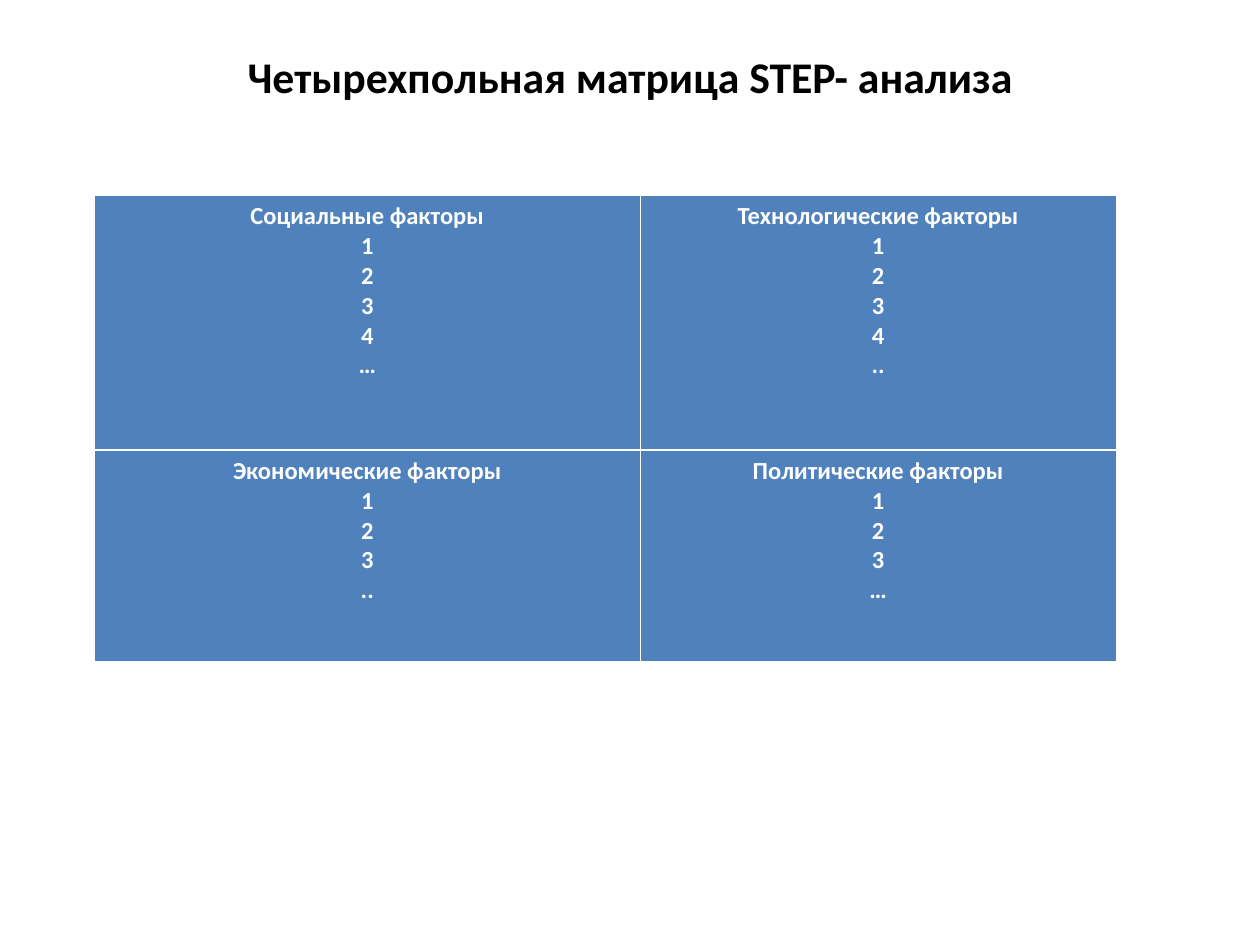
"""Build a slide with the four-field STEP analysis matrix."""
from dataclasses import dataclass

from lxml.etree import SubElement
from pptx import Presentation
from pptx.dml.color import RGBColor
from pptx.enum.text import MSO_ANCHOR, PP_ALIGN
from pptx.oxml.ns import qn
from pptx.util import Inches, Pt

TITLE = "Четырехпольная матрица STEP- анализа"
MATRIX = [
    [("Социальные факторы", "1", "2", "3", "4", "…"),
     ("Технологические факторы", "1", "2", "3", "4", "..")],
    [("Экономические факторы", "1", "2", "3", ".."),
     ("Политические факторы", "1", "2", "3", "…")],
]
SLIDE_SIZE = (10, 7.5)
TITLE_BOX = (0.5, 0.3, 9, 0.61)
MATRIX_ORIGIN = (0.75, 1.55)
COLUMN_WIDTHS = (4.33, 3.78)
ROW_HEIGHTS = (2.02, 1.68)


@dataclass(frozen=True)
class Theme:
    font: str = "Calibri"
    title_color: str = "000000"
    factor_color: str = "FFFFFF"
    field_fill: str = "4F81BD"
    border_color: str = "FFFFFF"
    title_size: float = 25
    factor_size: float = 14
    thin_border: float = 0.45
    row_border: float = 1.47


THEME = Theme()


def write_lines(frame, lines, size, color):
    for index, line in enumerate(lines):
        paragraph = frame.add_paragraph() if index else frame.paragraphs[0]
        paragraph.alignment = PP_ALIGN.CENTER
        run = paragraph.add_run()
        run.text = line
        run.font.name = THEME.font
        run.font.size = Pt(size)
        run.font.bold = True
        run.font.color.rgb = RGBColor.from_string(color)


def add_borders(cell, widths):
    properties = cell._tc.get_or_add_tcPr()
    for side, width in widths.items():
        border = SubElement(properties, qn(f"a:ln{side}"), w=str(Pt(width)))
        fill = SubElement(border, qn("a:solidFill"))
        SubElement(fill, qn("a:srgbClr"), val=THEME.border_color)


def add_title(slide):
    title = slide.shapes.title
    title.left, title.top, title.width, title.height = map(Inches, TITLE_BOX)
    title.text_frame.vertical_anchor = MSO_ANCHOR.MIDDLE
    write_lines(title.text_frame, [TITLE], THEME.title_size, THEME.title_color)


def add_matrix(slide):
    size = (sum(COLUMN_WIDTHS), sum(ROW_HEIGHTS))
    matrix = slide.shapes.add_table(
        len(ROW_HEIGHTS), len(COLUMN_WIDTHS), *map(Inches, MATRIX_ORIGIN + size)
    ).table
    for column, width in zip(matrix.columns, COLUMN_WIDTHS):
        column.width = Inches(width)
    for row, height in zip(matrix.rows, ROW_HEIGHTS):
        row.height = Inches(height)
    for row_index, fields in enumerate(MATRIX):
        top = THEME.row_border if row_index else THEME.thin_border
        is_last = row_index == len(MATRIX) - 1
        bottom = THEME.thin_border if is_last else THEME.row_border
        widths = {"L": THEME.thin_border, "R": THEME.thin_border, "T": top, "B": bottom}
        for column_index, factors in enumerate(fields):
            cell = matrix.cell(row_index, column_index)
            cell.margin_left = cell.margin_right = Inches(0.08)
            cell.margin_top = cell.margin_bottom = Inches(0.05)
            add_borders(cell, widths)
            cell.fill.solid()
            cell.fill.fore_color.rgb = RGBColor.from_string(THEME.field_fill)
            write_lines(cell.text_frame, factors, THEME.factor_size, THEME.factor_color)


def main():
    presentation = Presentation()
    presentation.slide_width, presentation.slide_height = map(Inches, SLIDE_SIZE)
    slide = presentation.slides.add_slide(presentation.slide_layouts[5])
    add_title(slide)
    add_matrix(slide)
    presentation.save("out.pptx")


if __name__ == "__main__":
    main()
